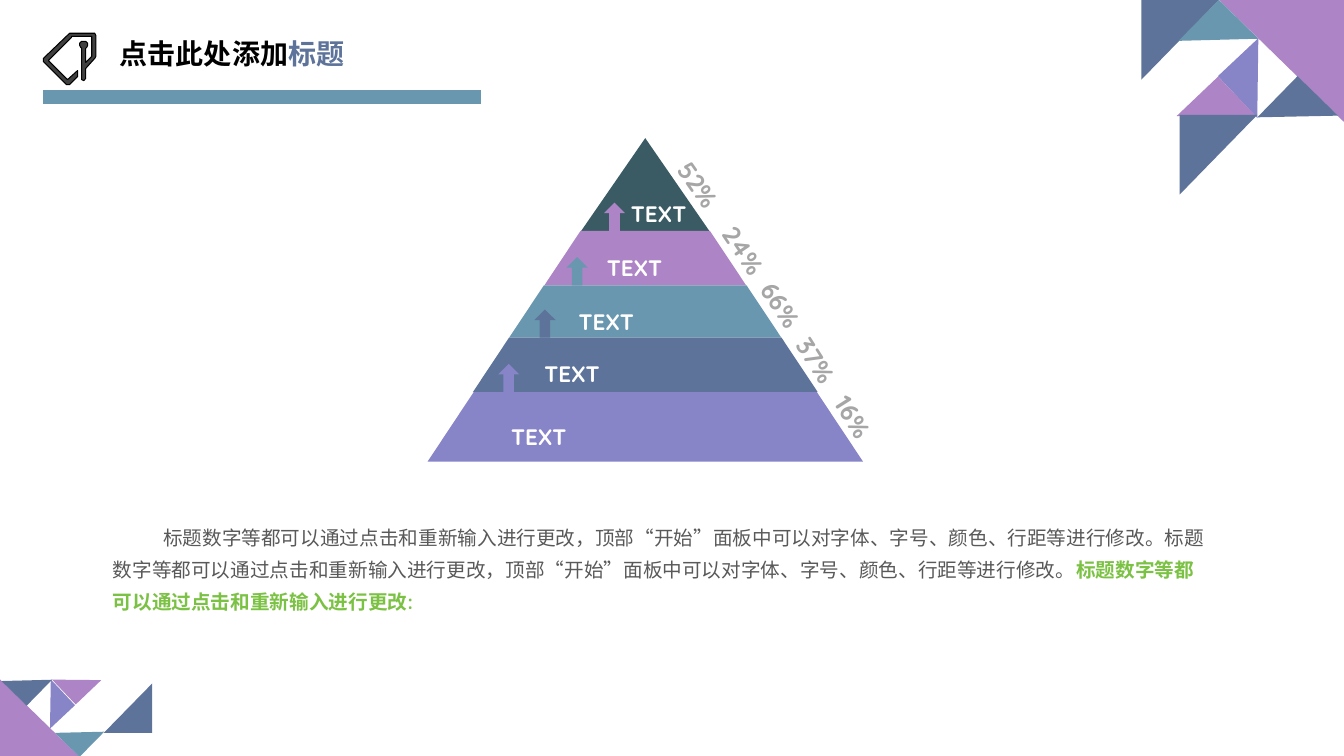
from pptx import Presentation
from pptx.dml.color import RGBColor
from pptx.enum.shapes import MSO_CONNECTOR, MSO_SHAPE as SHAPE
from pptx.enum.text import MSO_ANCHOR as ANCHOR
from pptx.oxml.ns import qn
from pptx.util import Inches, Pt
from lxml.etree import SubElement

FONT = "Quicksand"
COLORS = {
    "purple": "AD84C6", "teal": "6997AF", "navy": "5D739A", "violet": "8784C7",
    "pine": "3A5B63", "charcoal": "404040", "black": "000000", "white": "FFFFFF",
    "silver": "A6A6A6", "gray": "595959", "green": "7BC143",
}

# Corner triangles: dx, dy, width, height, rotation, colour
TOP_CORNER = [
    (0.78, -0.02, 1.22, 1.25, 270, "purple"),
    (0, 0, 0.77, 0.79, 180, "navy"),
    (0.49, 0.11, 0.55, 0.57, 224.5, "teal"),
    (0.88, 0.49, 0.55, 0.57, 136.8, "violet"),
    (1.27, 0.87, 0.56, 0.57, 224.3, "navy"),
    (0.47, 0.87, 0.55, 0.57, 226.4, "purple"),
    (0.38, 1.14, 0.77, 0.79, 180, "navy"),
]
BOTTOM_CORNER = [
    (0.01, 0.16, 0.76, 0.78, 90, "purple"),
    (0.62, 0.52, 0.34, 0.35, 44.5, "teal"),
    (0.33, 0.24, 0.34, 0.35, 316.8, "violet"),
    (0.09, 0, 0.35, 0.36, 44.3, "navy"),
    (0.59, 0, 0.34, 0.35, 46.4, "purple"),
    (1.03, 0.21, 0.48, 0.49, 0, "navy"),
]

# Tag icon outline, in hundredths of an inch
TAG_OUTLINE = [
    (50, 0), (28, 0), (26, 0), (25, 1), (0, 25), (0, 28), (23, 51), (25, 51),
    (26, 51), (34, 43), (34, 37), (24, 46), (5, 27), (28, 4), (28, 3), (48, 3),
    (48, 23), (47, 24), (42, 29), (42, 15), (43, 14), (44, 12), (44, 10),
    (43, 9), (42, 8), (40, 8), (38, 8), (37, 9), (36, 10), (36, 12), (37, 14),
    (38, 15), (38, 44), (38, 46), (40, 47), (41, 46), (42, 45), (42, 35),
    (50, 26), (51, 25), (52, 23), (52, 2), (51, 0),
]

# Pyramid levels: bottom width, height, colour, label dx, label dy, arrow dx
LEVELS = [
    (1.27, 0.92, "pine", 1.92, 0.57, None),
    (2.00, 0.54, "purple", 1.68, 0.18, 1.75),
    (2.70, 0.52, "teal", 1.40, 0.18, 1.38),
    (3.42, 0.54, "navy", 1.06, 0.17, 1.06),
    (4.32, 0.69, "violet", 0.73, 0.26, 0.70),
]
# Percentages along the right edge: text, dx, dy, rotation
SHARES = [
    ("52%", 2.34, 0.28, 55.2), ("24%", 2.78, 0.91, 56.1),
    ("66%", 3.16, 1.47, 56.1), ("37%", 3.51, 2.02, 57.7),
    ("16%", 3.89, 2.60, 57.7),
]

BODY = ("标题数字等都可以通过点击和重新输入进行更改，顶部“开始”面板中可以对字体、字号、"
        "颜色、行距等进行修改。") * 2
BODY_ACCENT = "标题数字等都可以通过点击和重新输入进行更改:"


def rgb(name):
    return RGBColor.from_string(COLORS[name])


def add_filled(slide, kind, left, top, width, height, color, rotation=0, adjust=None):
    part = slide.shapes.add_shape(
        kind, Inches(left), Inches(top), Inches(width), Inches(height))
    part.shadow.inherit = False
    part.fill.solid()
    part.fill.fore_color.rgb = rgb(color)
    part.line.fill.background()
    part.rotation = rotation
    if adjust is not None:
        part.adjustments[0] = adjust


def add_text(slide, runs, left, top, width, height, *, size, rotation=0,
             right_inset=0.1, anchor=ANCHOR.TOP, spacing=None, indent=0):
    """Each run is (text, colour, bold)."""
    box = slide.shapes.add_textbox(
        Inches(left), Inches(top), Inches(width), Inches(height))
    box.rotation = rotation
    frame = box.text_frame
    frame.word_wrap = True
    frame.margin_right = Inches(right_inset)
    frame.vertical_anchor = anchor
    paragraph = frame.paragraphs[0]
    if spacing:
        paragraph.line_spacing = spacing
    if indent:
        paragraph._p.get_or_add_pPr().set("indent", str(Inches(indent)))
    for text, color, bold in runs:
        run = paragraph.add_run()
        run.text = text
        run.font.name = FONT
        run.font.size = Pt(size)
        run.font.bold = bold
        run.font.color.rgb = rgb(color)


def add_corner(slide, left, top, triangles):
    for dx, dy, width, height, rotation, color in triangles:
        add_filled(slide, SHAPE.ISOSCELES_TRIANGLE, left + dx, top + dy,
                   width, height, color, rotation, adjust=1)


def add_header(slide, left, top, width):
    # Tag icon
    outline = slide.shapes.build_freeform(*TAG_OUTLINE[0], scale=Inches(0.01))
    outline.add_line_segments(TAG_OUTLINE[1:], close=True)
    tag = outline.convert_to_shape(Inches(left), Inches(top))
    tag.shadow.inherit = False
    tag.fill.solid()
    tag.fill.fore_color.rgb = rgb("charcoal")
    tag.line.color.rgb = rgb("black")
    tag.line.width = Pt(0.75)
    # Rule under the title
    rule_y = Inches(top + 0.63)
    rule = slide.shapes.add_connector(
        MSO_CONNECTOR.STRAIGHT, Inches(left), rule_y, Inches(left + width), rule_y)
    rule.line.color.rgb = rgb("teal")
    rule.line.width = Pt(10)
    SubElement(rule._element.spPr, qn("a:effectLst"))
    # Title
    add_text(slide, [("点击此处添加", "black", True), ("标题", "navy", True)],
             left + 0.66, top - 0.07, 4.88, 0.58, size=20,
             anchor=ANCHOR.MIDDLE, spacing=0.9)


def add_pyramid(slide, left, top, width):
    center = left + width / 2
    level_top = top
    for base, height, color, label_dx, label_dy, arrow_dx in LEVELS:
        is_peak = arrow_dx is None
        add_filled(slide, SHAPE.ISOSCELES_TRIANGLE if is_peak else SHAPE.TRAPEZOID,
                   center - base / 2, level_top, base, height, color,
                   adjust=0.5 if is_peak else 0.664)
        if not is_peak:
            add_filled(slide, SHAPE.UP_ARROW, left + arrow_dx, level_top - 0.28,
                       0.21, 0.28, color)
        add_text(slide, [("TEXT", "white", True)], left + label_dx,
                 level_top + label_dy, 0.78, 0.37, size=16, right_inset=0)
        level_top += height
    for share, dx, dy, rotation in SHARES:
        add_text(slide, [(share, "silver", True)], left + dx, top + dy,
                 0.71, 0.4, size=18, rotation=rotation, right_inset=0)


def add_description(slide, left, top, width, height):
    add_text(slide, [(BODY, "gray", False), (BODY_ACCENT, "green", True)],
             left, top, width, height, size=14, spacing=1.35, indent=0.5)


def main():
    deck = Presentation()
    deck.slide_width, deck.slide_height = Inches(13.33), Inches(7.5)
    slide = deck.slides.add_slide(deck.slide_layouts[6])
    add_corner(slide, 0, 6.57, BOTTOM_CORNER)
    add_corner(slide, 11.32, 0, TOP_CORNER)
    add_header(slide, 0.43, 0.33, 4.34)
    add_pyramid(slide, 4.24, 1.37, 4.32)
    add_description(slide, 1.02, 5.09, 11.05, 1.06)
    deck.save("out.pptx")


if __name__ == "__main__":
    main()
